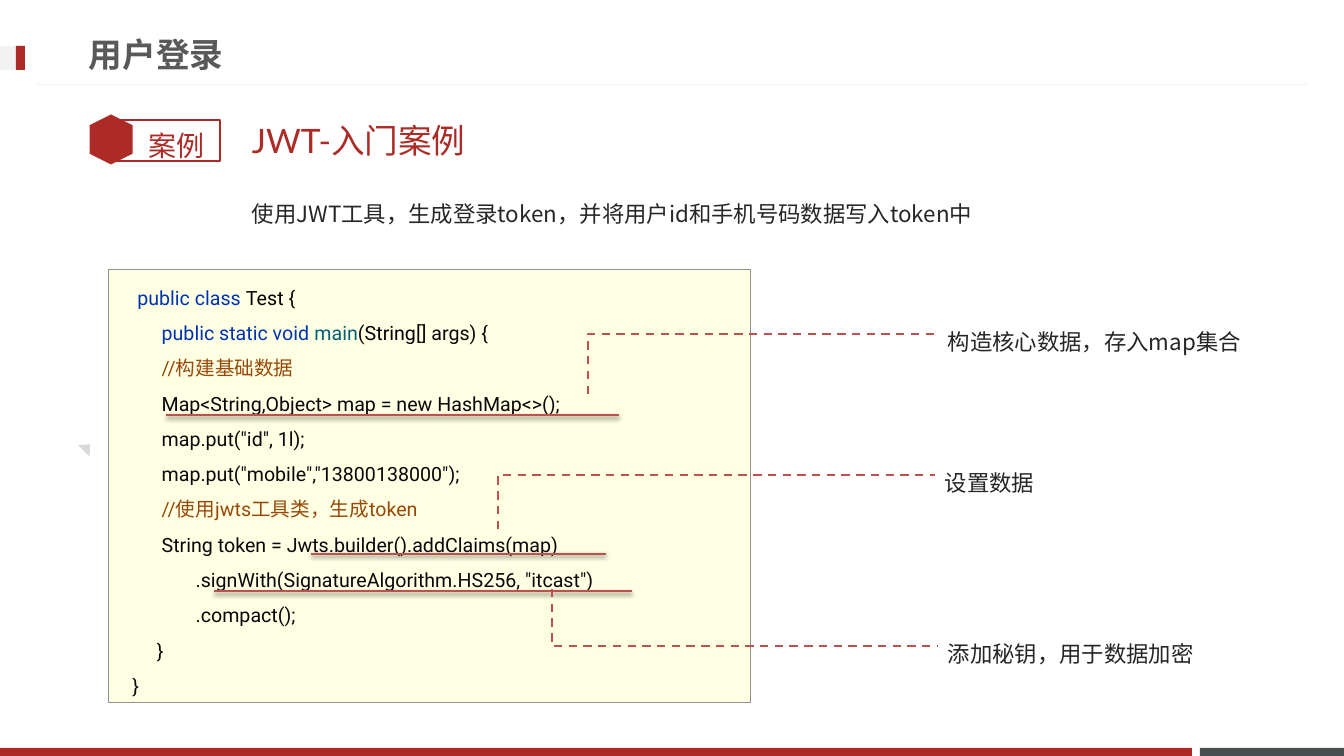
from lxml import etree
from pptx import Presentation
from pptx.dml.color import RGBColor
from pptx.enum.dml import MSO_LINE
from pptx.enum.shapes import MSO_CONNECTOR, MSO_SHAPE
from pptx.enum.text import MSO_ANCHOR, PP_ALIGN
from pptx.oxml.ns import qn
from pptx.util import Pt

EMU_PER_PX = 914400 / 100.8
SLIDE_W, SLIDE_H = 1344, 756

RECT, HEXAGON, TRIANGLE = MSO_SHAPE.RECTANGLE, MSO_SHAPE.HEXAGON, MSO_SHAPE.ISOSCELES_TRIANGLE
STRAIGHT, ELBOW = MSO_CONNECTOR.STRAIGHT, MSO_CONNECTOR.ELBOW
DASH = MSO_LINE.DASH
TOP, MIDDLE = MSO_ANCHOR.TOP, MSO_ANCHOR.MIDDLE
LEFT = PP_ALIGN.LEFT

RED = RGBColor(0xAD, 0x2B, 0x26)
MARK_RED = RGBColor(0xC0, 0x50, 0x4D)
SLATE = RGBColor(0x49, 0x50, 0x4F)
PALE = RGBColor(0xF2, 0xF2, 0xF2)
SILVER = RGBColor(0xD9, 0xD9, 0xD9)
TITLE_GREY = RGBColor(0x59, 0x59, 0x59)
INK = RGBColor(0x26, 0x26, 0x26)
CODE_FILL = RGBColor(0xFF, 0xFF, 0xE4)
CODE_BORDER = RGBColor(0x91, 0x91, 0x91)
CODE_INK = RGBColor(0x08, 0x08, 0x08)
BLACK = RGBColor(0, 0, 0)
KEYWORD = RGBColor(0x00, 0x33, 0xB3)
METHOD = RGBColor(0x00, 0x62, 0x7A)
COMMENT = RGBColor(0x98, 0x48, 0x07)

CJK, ROBOTO, LATO = "Noto Sans CJK SC", "Roboto", "Lato"

CODE = [
    [("    public class ", KEYWORD), ("Test ", BLACK), ("{", CODE_INK)],
    [("         public static void ", KEYWORD), ("main", METHOD), ("(", CODE_INK),
     ("String", BLACK), ("[] args) {", CODE_INK)],
    [("         //构建基础数据", COMMENT)],
    [("         Map<String,Object> map = new HashMap<>();", CODE_INK)],
    [('         map.put("id", 1l);', CODE_INK)],
    [('         map.put("mobile","13800138000");', CODE_INK)],
    [("         //使用jwts工具类，生成token", COMMENT)],
    [("         String token = Jwts.builder().addClaims(map)", CODE_INK)],
    [('                .signWith(SignatureAlgorithm.HS256, "itcast")', CODE_INK)],
    [("                .compact();", CODE_INK)],
    [("        }", CODE_INK)],
    [("   }", CODE_INK)],
]

# Offsets from the code panel: underline (x1, x2, y), leader (x, y1, x2, y2), label (x, y)
CALLOUTS = [
    ("构造核心数据，存入map集合", (58, 511, 146), (480, 125, 830, 65), (830, 41)),
    ("设置数据", (203, 498, 285), (390, 260, 827, 206), (827, 182)),
    ("添加秘钥，用于数据加密", (106, 524, 322), (444, 320, 830, 377), (830, 353)),
]


def px(value):
    return round(value * EMU_PER_PX)


def add_block(slide, kind, box, fill=None, border=None, border_pt=1.0):
    block = slide.shapes.add_shape(kind, *map(px, box))
    block.shadow.inherit = False
    if fill is None:
        block.fill.background()
    else:
        block.fill.solid()
        block.fill.fore_color.rgb = fill
    if border is None:
        block.line.fill.background()
    else:
        block.line.color.rgb = border
        block.line.width = Pt(border_pt)
    return block


def add_line(slide, kind, ends, color, width):
    """Draw a connector and return it with its empty effect list."""
    line = slide.shapes.add_connector(kind, *map(px, ends))
    line.line.color.rgb = color
    line.line.width = Pt(width)
    effects = etree.SubElement(line._element.spPr, qn("a:effectLst"))
    return line, effects


def style_run(run, size, font, color, bold=False):
    run.font.size = Pt(size)
    run.font.bold = bold
    run.font.color.rgb = color
    run.font.name = font
    latin = run._r.rPr.find(qn("a:latin"))
    east_asian = etree.Element(qn("a:ea"), typeface=CJK)
    latin.addnext(east_asian)


def add_text(slide, box, text, size, font, color, bold=False, anchor=TOP, spacing=1.0):
    frame = slide.shapes.add_textbox(*map(px, box)).text_frame
    frame.word_wrap = True
    frame.vertical_anchor = anchor
    paragraph = frame.paragraphs[0]
    paragraph.text = text
    paragraph.line_spacing = spacing
    style_run(paragraph.runs[0], size, font, color, bold)


def add_page_frame(slide, width, height):
    bar_h, red_w, gap = 8, 1192, 8
    bar_y = height - bar_h
    dark_x = red_w + gap
    add_block(slide, RECT, (dark_x, bar_y, width - dark_x, bar_h), SLATE)
    add_block(slide, RECT, (0, bar_y, red_w, bar_h), RED)
    add_line(slide, STRAIGHT, (width - 36, 85, 36, 85), PALE, 0.75)
    add_block(slide, RECT, (0, 46, 25, 24), PALE)
    add_block(slide, RECT, (16, 46, 9, 24), RED)
    add_block(slide, TRIANGLE, (79, 443, 16, 9), SILVER).rotation = 44.2


def add_case_badge(slide, left, top):
    add_block(slide, RECT, (left + 24, top + 6, 110, 41), border=RED)
    add_block(slide, HEXAGON, (left, top + 4, 50, 43), RED).rotation = 90
    add_text(slide, (left + 53, top - 7, 86, 56), "案例", 20, ROBOTO, RED, spacing=1.5)


def add_headings(slide, left, top):
    add_text(slide, (left, top, 967, 57), "用户登录", 24, ROBOTO, TITLE_GREY,
             bold=True, anchor=MIDDLE)
    body_x = left + 163
    add_text(slide, (body_x, top + 86, 1016, 57), "JWT-入门案例", 24, LATO, RED, anchor=MIDDLE)
    add_text(slide, (body_x, top + 156, 1016, 465),
             "使用JWT工具，生成登录token，并将用户id和手机号码数据写入token中",
             16, CJK, INK, spacing=1.5)


def add_code_panel(slide, box):
    frame = add_block(slide, RECT, box, CODE_FILL, CODE_BORDER, 0.25).text_frame
    frame.word_wrap = True
    frame.vertical_anchor = TOP
    for index, code_line in enumerate(CODE):
        paragraph = frame.add_paragraph() if index else frame.paragraphs[0]
        paragraph.alignment = LEFT
        paragraph.line_spacing = 1.5
        for text, color in code_line:
            run = paragraph.add_run()
            run.text = text
            style_run(run, 14, ROBOTO, color)


def add_underline(slide, x1, x2, y):
    effects = add_line(slide, STRAIGHT, (x1, y, x2, y), MARK_RED, 2)[1]
    shadow = etree.SubElement(effects, qn("a:outerShdw"), blurRad="40000", dist="20000",
                              dir="5400000", rotWithShape="0")
    black = etree.SubElement(shadow, qn("a:srgbClr"), val="000000")
    etree.SubElement(black, qn("a:alpha"), val="38000")


def add_leader(slide, ends):
    """Draw a dashed elbow that rises or falls first, then runs right."""
    leader = add_line(slide, ELBOW, ends, MARK_RED, 1.5)[0]
    leader.line.dash_style = DASH
    adjustments = leader._element.spPr.find(qn("a:prstGeom")).find(qn("a:avLst"))
    etree.SubElement(adjustments, qn("a:gd"), name="adj1", fmla="val 0")


def add_callouts(slide, left, top):
    for label, (x1, x2, y), (corner_x, start_y, end_x, end_y), (label_x, label_y) in CALLOUTS:
        add_underline(slide, left + x1, left + x2, top + y)
        add_leader(slide, (left + corner_x, top + start_y, left + end_x, top + end_y))
        add_text(slide, (left + label_x, top + label_y, 327, 49), label, 16, CJK, INK,
                 spacing=1.5)


def main():
    deck = Presentation()
    deck.slide_width, deck.slide_height = px(SLIDE_W), px(SLIDE_H)
    slide = deck.slides.add_slide(deck.slide_layouts[6])
    code_box = (108, 269, 642, 433)
    add_page_frame(slide, SLIDE_W, SLIDE_H)
    add_case_badge(slide, 86, 114)
    add_headings(slide, 79, 26)
    add_code_panel(slide, code_box)
    add_callouts(slide, *code_box[:2])
    deck.save("out.pptx")


if __name__ == "__main__":
    main()
